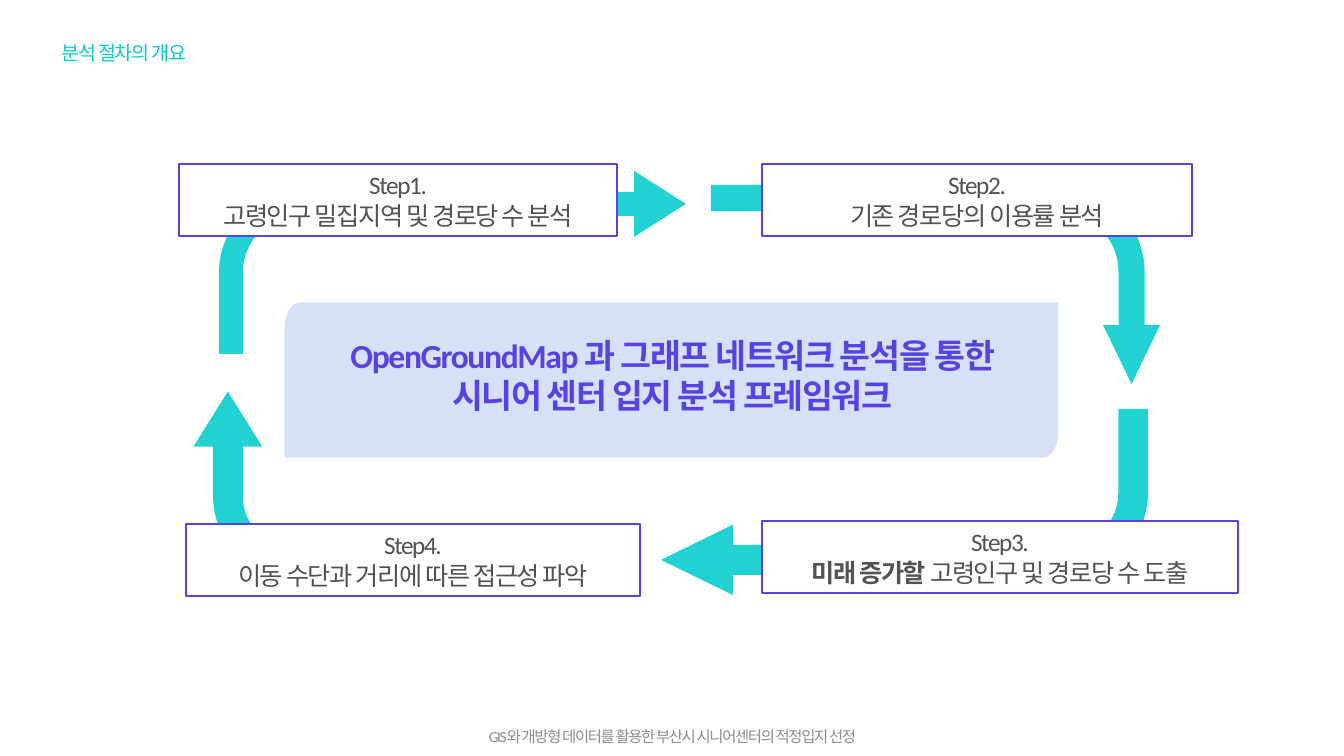
import math
import pptx
import pptx.util
import pptx.dml.color
import pptx.enum.shapes
import pptx.enum.text
import pptx.oxml.ns
import lxml.etree

EMU_PER_PX = 914400 / 100.8
FONT = "Calibri"
TEAL, VIOLET, GREY = "22D1D2", "5643E2", "525252"

TITLE = "분석 절차의 개요"
FOOTER = "GIS와 개방형 데이터를 활용한 부산시 시니어센터의 적정입지 선정"
FRAMEWORK = "OpenGroundMap 과 그래프 네트워크 분석을 통한 시니어 센터 입지 분석 프레임워크"

ARROWS = [
    ((324, 261, 186, 447), 270, (0.16, 0.185, 0.296, 0.438)),
    ((661, 409, 487, 186), 180, (0.16, 0.189, 0.386, 0.438)),
    ((836, 60, 199, 449), 90, (0.131, 0.143, 0.295, 0.438)),
    ((219, 171, 467, 183), 0, (0.131, 0.18, 0.283, 0.438)),
]
STEPS = [
    ("Step1.", "", "고령인구 밀집지역 및 경로당 수 분석", (179, 164, 438, 72)),
    ("Step2.", "", "기존 경로당의 이용률 분석", (762, 164, 430, 72)),
    ("Step3.", "미래 증가할", " 고령인구 및 경로당 수 도출", (762, 521, 476, 72)),
    ("Step4.", "", "이동 수단과 거리에 따른 접근성 파악", (186, 524, 454, 72)),
]
PANEL = (285, 303, 773, 154)
CORNER = (15, 25)
CORNER_SEGMENTS = 6


def px(value):
    return pptx.util.Emu(round(value * EMU_PER_PX))


def color(value):
    return pptx.dml.color.RGBColor.from_string(value)


def paint(shape, fill, line=None, width=0):
    shape.shadow.inherit = False
    shape.fill.solid()
    shape.fill.fore_color.rgb = color(fill)
    if line:
        shape.line.color.rgb = color(line)
        shape.line.width = pptx.util.Pt(width)
    else:
        shape.line.fill.background()


def format_text(frame, size, text_color, centered=True, bold=False):
    frame.word_wrap = True
    for paragraph in frame.paragraphs:
        if centered:
            paragraph.alignment = pptx.enum.text.PP_ALIGN.CENTER
        for run in paragraph.runs:
            run.font.size = pptx.util.Pt(size)
            run.font.name = FONT
            run.font.color.rgb = color(text_color)
            if bold:
                run.font.bold = True
            run.font._element.set("spc", "-100")


def add_text(slide, text, box, size, text_color, **options):
    frame = slide.shapes.add_textbox(*map(px, box)).text_frame
    frame.text = text
    format_text(frame, size, text_color, **options)
    return frame


def add_arrow(slide, box, rotation, adjustments):
    kind = pptx.enum.shapes.MSO_SHAPE.BENT_ARROW
    arrow = slide.shapes.add_shape(kind, *map(px, box))
    arrow.rotation = rotation
    for index, value in enumerate(adjustments):
        arrow.adjustments[index] = value
    paint(arrow, TEAL)


def add_step(slide, label, emphasis, description, box):
    kind = pptx.enum.shapes.MSO_SHAPE.RECTANGLE
    shape = slide.shapes.add_shape(kind, *map(px, box))
    paint(shape, "FFFFFF", VIOLET, 1.5)
    frame = shape.text_frame
    frame.text = label
    paragraph = frame.add_paragraph()
    if emphasis:
        run = paragraph.add_run()
        run.text = emphasis
        run.font.bold = True
    paragraph.add_run().text = description
    format_text(frame, 18, GREY)


def add_panel(slide):
    left, top, width, height = PANEL
    radius_x, radius_y = CORNER
    right, bottom = left + width, top + height
    angles = [math.pi / 2 * step / CORNER_SEGMENTS for step in range(CORNER_SEGMENTS + 1)]
    curve = [(radius_x * (1 - math.sin(a)), radius_y * (1 - math.cos(a))) for a in angles]
    points = [(right, top)]
    points += [(left + x, top + y) for x, y in curve]
    points += [(left, bottom)]
    points += [(right - x, bottom - y) for x, y in curve]
    points = [(px(x), px(y)) for x, y in points]
    builder = slide.shapes.build_freeform(*points[0])
    builder.add_line_segments(points[1:], close=True)
    panel = builder.convert_to_shape()
    paint(panel, "366CDD", "D7E2F8", 0.75)
    fill_color = panel.fill._xPr.find(".//" + pptx.oxml.ns.qn("a:srgbClr"))
    lxml.etree.SubElement(fill_color, pptx.oxml.ns.qn("a:alpha"), val="20000")


def main():
    presentation = pptx.Presentation()
    presentation.slide_width, presentation.slide_height = px(1344), px(756)
    slide = presentation.slides.add_slide(presentation.slide_layouts[6])

    add_text(slide, TITLE, (52, 36, 216, 34), 14, "0ACCCD", centered=False)
    footer = add_text(slide, FOOTER, (386, 727, 573, 19), 11, "8C8C8C")
    footer.margin_left = footer.margin_right = footer.margin_top = footer.margin_bottom = 0
    for arrow in ARROWS:
        add_arrow(slide, *arrow)
    for step in STEPS:
        add_step(slide, *step)
    add_panel(slide)
    add_text(slide, FRAMEWORK, (311, 330, 722, 92), 24, VIOLET, bold=True)

    presentation.save("out.pptx")


if __name__ == "__main__":
    main()
